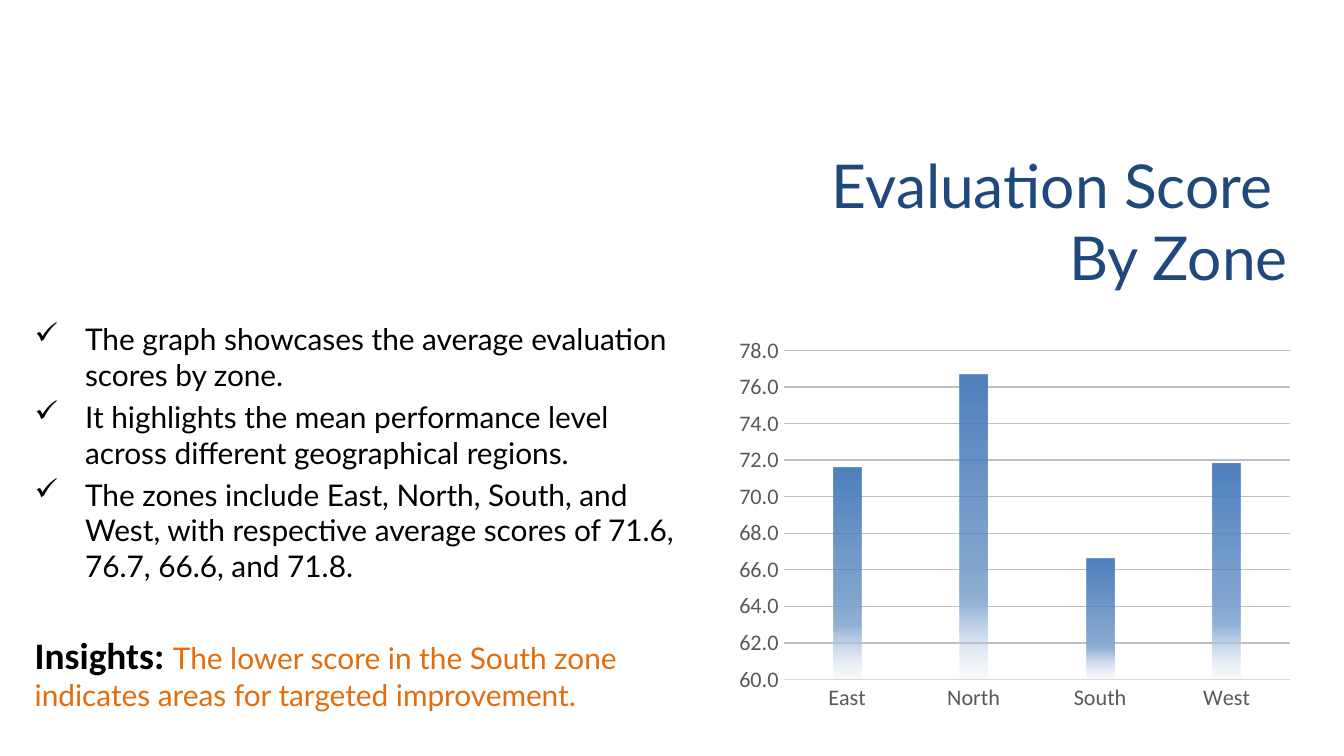
import pptx
import pptx.util
import pptx.dml.color
import pptx.chart.data
import pptx.enum.chart
import pptx.enum.text
import pptx.oxml
import pptx.oxml.ns
from pptx.util import Pt

TITLE = "Evaluation Score \vBy Zone"
POINTS = [
    "The graph showcases the average evaluation scores by zone.",
    "It highlights the mean performance level across different geographical regions.",
    "The zones include East, North, South, and West, with respective average "
    "scores of 71.6, 76.7, 66.6, and 71.8.",
]
INSIGHT_LABEL = "Insights: "
INSIGHT = "The lower score in the South zone indicates areas for targeted improvement."
SCORES = {"East": 71.6, "North": 76.7, "South": 66.6, "West": 71.8}
BAR_STOPS = [(0, "4F81BD", 100), (51, "4F81BD", 75), (75, "95B3D7", 100), (100, "DCE6F2", 15)]
PLOT = {"x": 0.07, "y": 0.15, "w": 0.91, "h": 0.78}
INDENT = 27
GAP = 3.2
INSIGHT_GAP = 26


def color(value):
    return pptx.dml.color.RGBColor.from_string(value)


def style(font, size, name, value, bold=False):
    font.size = Pt(size)
    font.name = name
    font.bold = bold
    font.color.rgb = color(value)


def element(markup):
    return pptx.oxml.parse_xml(markup)


def add_text(slide, left, top, width, height):
    frame = slide.shapes.add_textbox(Pt(left), Pt(top), Pt(width), Pt(height)).text_frame
    frame.word_wrap = True
    return frame


def add_title(slide):
    frame = add_text(slide, 47.5, 82, 649.5, 72)
    frame.vertical_anchor = pptx.enum.text.MSO_ANCHOR.MIDDLE
    frame.text = TITLE
    heading = frame.paragraphs[0]
    heading.alignment = pptx.enum.text.PP_ALIGN.RIGHT
    for run in heading.runs:
        style(run.font, 32.4, "Lato", "1F497D")


def add_findings(slide):
    frame = add_text(slide, 11.5, 168.5, 361, 227)
    frame.text = "\n".join(POINTS)
    for number, point in enumerate(frame.paragraphs):
        point.space_before = Pt(GAP if number else 0)
        style(point.runs[0].font, 16, "Lato", "000000")
        props = point._p.get_or_add_pPr()
        props.set("marL", str(Pt(INDENT)))
        props.set("indent", str(-Pt(INDENT)))
        props.append(element(f'<a:buChar {pptx.oxml.ns.nsdecls("a")} char="✓"/>'))
    insight = frame.add_paragraph()
    insight.space_before = Pt(INSIGHT_GAP)
    for words, look in [
        (INSIGHT_LABEL, (20, "Calibri", "000000", True)),
        (INSIGHT, (16, "Lato", "E46C0A")),
    ]:
        run = insight.add_run()
        run.text = words
        style(run.font, *look)


def fill_bars(series):
    stops = "".join(
        f'<a:gs pos="{pos * 1000}"><a:srgbClr val="{value}">'
        f'<a:alpha val="{alpha * 1000}"/></a:srgbClr></a:gs>'
        for pos, value, alpha in BAR_STOPS
    )
    series.format.fill.solid()
    props = series._element.spPr
    solid = props.find(pptx.oxml.ns.qn("a:solidFill"))
    props.replace(solid, element(
        f'<a:gradFill {pptx.oxml.ns.nsdecls("a")}><a:gsLst>{stops}</a:gsLst>'
        '<a:lin ang="5400000" scaled="0"/></a:gradFill>'
    ))


def place_plot(chart):
    area = chart._chartSpace.chart.plotArea
    for old in area.findall(pptx.oxml.ns.qn("c:layout")):
        area.remove(old)
    modes = '<c:xMode val="edge"/><c:yMode val="edge"/>'
    sizes = "".join(f'<c:{key} val="{value}"/>' for key, value in PLOT.items())
    area.insert(0, element(
        f'<c:layout {pptx.oxml.ns.nsdecls("c")}><c:manualLayout>'
        f'<c:layoutTarget val="inner"/>{modes}{sizes}</c:manualLayout></c:layout>'
    ))


def add_scores(slide):
    data = pptx.chart.data.CategoryChartData(number_format="0.0")
    data.categories = list(SCORES)
    data.add_series("Series 1", list(SCORES.values()))
    chart = slide.shapes.add_chart(
        pptx.enum.chart.XL_CHART_TYPE.COLUMN_CLUSTERED,
        Pt(396), Pt(154), Pt(301), Pt(227), data,
    ).chart
    chart.has_legend = False
    chart.has_title = False
    style(chart.font, 10, "Calibri", "000000")

    zones, scale = chart.category_axis, chart.value_axis
    for axis in (zones, scale):
        axis.major_tick_mark = pptx.enum.chart.XL_TICK_MARK.NONE
        axis.minor_tick_mark = pptx.enum.chart.XL_TICK_MARK.NONE
        style(axis.tick_labels.font, 12, "Calibri", "595959")
    zones.format.line.color.rgb = color("D9D9D9")
    zones.format.line.width = Pt(0.75)
    scale.format.line.fill.background()
    scale.minimum_scale, scale.maximum_scale, scale.major_unit = 60, 78, 2
    scale.tick_labels.number_format = "0.0"
    scale.tick_labels.number_format_is_linked = False
    grid = scale.major_gridlines.format.line
    grid.color.rgb = color("BFBFBF")
    grid.width = Pt(0.75)

    bars = chart.plots[0]
    bars.vary_by_categories = False
    bars.gap_width = 355
    bars.overlap = -70
    fill_bars(bars.series[0])
    place_plot(chart)


def main():
    deck = pptx.Presentation()
    deck.slide_width, deck.slide_height = Pt(720), Pt(405)
    slide = deck.slides.add_slide(deck.slide_layouts[6])
    add_title(slide)
    add_findings(slide)
    add_scores(slide)
    deck.save("out.pptx")


if __name__ == "__main__":
    main()
